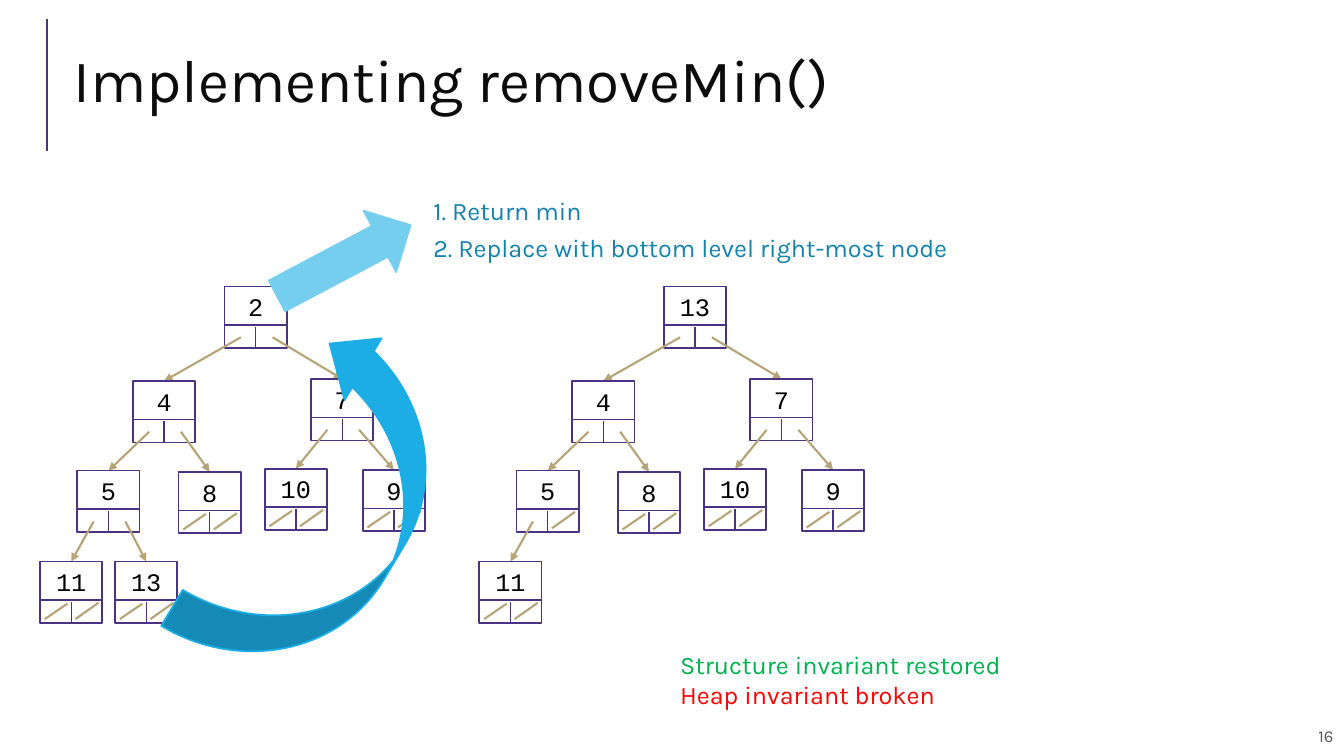
from lxml import etree
from pptx import Presentation
from pptx.dml.color import RGBColor
from pptx.enum.shapes import MSO_CONNECTOR, MSO_SHAPE
from pptx.enum.text import MSO_ANCHOR, MSO_AUTO_SIZE, PP_ALIGN
from pptx.oxml.ns import qn
from pptx.util import Cm, Pt

STRAIGHT = MSO_CONNECTOR.STRAIGHT
RECTANGLE = MSO_SHAPE.RECTANGLE
CURVED_ARROW = MSO_SHAPE.CURVED_RIGHT_ARROW
RIGHT_ARROW = MSO_SHAPE.RIGHT_ARROW
TOP, MIDDLE = MSO_ANCHOR.TOP, MSO_ANCHOR.MIDDLE
LEFT, CENTER, RIGHT = PP_ALIGN.LEFT, PP_ALIGN.CENTER, PP_ALIGN.RIGHT
NO_AUTOFIT = MSO_AUTO_SIZE.NONE

PURPLE = RGBColor(0x4C, 0x32, 0x82)
TAN = RGBColor(0xB6, 0xA4, 0x79)
BLUE = RGBColor(0x1C, 0xAD, 0xE4)
LIGHT_BLUE = RGBColor(0x76, 0xCE, 0xEF)
DARK_BLUE = RGBColor(0x14, 0x82, 0xAB)
GREEN = RGBColor(0x00, 0xB0, 0x50)
RED = RGBColor(0xFF, 0x00, 0x00)
BLACK = RGBColor(0x00, 0x00, 0x00)
NEAR_BLACK = RGBColor(0x0C, 0x0C, 0x0C)
GRAY = RGBColor(0x59, 0x59, 0x59)

BODY_FONT, NODE_FONT = "Karla", "Courier New"

# Heaps in level order: the children of index i are at 2i + 1 and 2i + 2
HEAP_BEFORE = [2, 4, 7, 5, 8, 10, 9, 11, 13]
HEAP_AFTER = [13, 4, 7, 5, 8, 10, 9, 11]
NODE_SPOTS = [(5.66, 7.22), (3.35, 9.6), (7.84, 9.55), (1.95, 11.86), (4.5, 11.89),
              (6.67, 11.81), (9.14, 11.84), (1.01, 14.15), (2.9, 14.15)]
TREE_SHIFT = 11.07

# Parts of a node, in centimetres from its top left corner
NODE_WIDTH, NODE_HEIGHT = 1.57, 1.55
DIVIDER_DROP = 0.97
LINK_STARTS = [(0.41, 1.28), (1.21, 1.28)]
SLASHES = [((0.69, 1.06), (0.12, 1.45)), ((1.47, 1.04), (0.89, 1.45))]


def add_line(page, start, end, color, width, arrow=False):
    line = page.shapes.add_connector(STRAIGHT, *map(Cm, start + end))
    line.line.color.rgb = color
    line.line.width = Pt(width)
    properties = line._element.spPr
    if arrow:
        etree.SubElement(properties.find(qn("a:ln")), qn("a:tailEnd"), type="triangle")
    etree.SubElement(properties, qn("a:effectLst"))


def add_shape(page, kind, frame, line_color, fill=None, rotation=0, adjustments=()):
    shape = page.shapes.add_shape(kind, *map(Cm, frame))
    shape.shadow.inherit = False
    shape.rotation = rotation
    shape.line.color.rgb = line_color
    shape.line.width = Pt(1.25)
    if fill is None:
        shape.fill.background()
    else:
        shape.fill.solid()
        shape.fill.fore_color.rgb = fill
    for index, value in enumerate(adjustments):
        shape.adjustments[index] = value


def fill_text(box, lines, size, font=BODY_FONT, align=LEFT, anchor=TOP,
              margin=0.13, wrap=True):
    frame = box.text_frame
    settings = {"word_wrap": wrap, "auto_size": NO_AUTOFIT, "vertical_anchor": anchor,
                "margin_left": Cm(0.25), "margin_right": Cm(0.25),
                "margin_top": Cm(margin), "margin_bottom": Cm(margin)}
    for name, value in settings.items():
        setattr(frame, name, value)
    for index, (text, color) in enumerate(lines):
        para = frame.add_paragraph() if index else frame.paragraphs[0]
        para.alignment = align
        span = para.add_run()
        span.text = text
        for name, value in {"name": font, "size": Pt(size)}.items():
            setattr(span.font, name, value)
        span.font.color.rgb = color


def add_text(page, frame, lines, size, **formats):
    box = page.shapes.add_textbox(*map(Cm, frame))
    fill_text(box, lines, size, **formats)


def add_title(page, text):
    title = page.shapes.title
    frame = {"left": 1.6, "top": 0.74, "width": 31.06, "height": 2.82}
    for name, value in frame.items():
        setattr(title, name, Cm(value))
    fill_text(title, [(text, NEAR_BLACK)], 43, anchor=MIDDLE)
    title.text_frame.paragraphs[0].line_spacing = 0.8


def add_node(page, left, top, value):
    middle = left + NODE_WIDTH / 2
    divider = top + DIVIDER_DROP
    bottom = top + NODE_HEIGHT
    add_shape(page, RECTANGLE, (left, top, NODE_WIDTH, NODE_HEIGHT), PURPLE)
    label_width = 0.51 + 0.38 * len(str(value))
    add_text(page, (middle - label_width / 2, top, label_width, 1.02),
             [(str(value), BLACK)], 18, font=NODE_FONT, align=CENTER, wrap=False)
    add_line(page, (left, divider), (left + NODE_WIDTH, divider), PURPLE, 1)
    add_line(page, (middle, bottom), (middle, divider + 0.05), PURPLE, 1)


def add_tree(page, heap, shift):
    spots = [(left + shift, top) for left, top in NODE_SPOTS]
    for index, value in enumerate(heap):
        left, top = spots[index]
        add_node(page, left, top, value)
        for side in (0, 1):
            child = 2 * index + 1 + side
            if child < len(heap):
                start = LINK_STARTS[side]
                child_left, child_top = spots[child]
                add_line(page, (left + start[0], top + start[1]),
                         (child_left + NODE_WIDTH / 2, child_top), TAN, 1.5, arrow=True)
            elif child >= len(heap):
                start, end = [(left + x, top + y) for x, y in SLASHES[side]]
                add_line(page, start, end, TAN, 1.5)


def main():
    deck = Presentation()
    deck.slide_width, deck.slide_height = Cm(33.87), Cm(19.05)
    page = deck.slides.add_slide(deck.slide_layouts[5])

    # Title with its accent line, and the page number
    add_line(page, (1.19, 3.81), (1.19, 0.48), PURPLE, 1.5)
    add_title(page, "Implementing removeMin()")
    add_text(page, (21.97, 18.03, 11.89, 1.02), [("16", GRAY)], 12,
             align=RIGHT, anchor=MIDDLE, margin=0.25)

    # Heap before the removal, with the two moves
    add_tree(page, HEAP_BEFORE, 0)
    add_shape(page, CURVED_ARROW, (6.12, 8.31, 4.22, 9.19), BLUE, BLUE,
              210.8, (0.25, 0.43, 0.25))
    add_shape(page, RIGHT_ARROW, (6.76, 5.69, 3.81, 1.75), LIGHT_BLUE, LIGHT_BLUE, 332.1)

    # Heap after the removal
    add_tree(page, HEAP_AFTER, TREE_SHIFT)

    # Steps and resulting state
    add_text(page, (16.89, 16.23, 16.31, 1.02),
             [("Structure invariant restored", GREEN), ("Heap invariant broken", RED)], 18)
    add_text(page, (10.67, 4.8, 16.89, 1.02), [("1. Return min", DARK_BLUE)], 18)
    add_text(page, (10.67, 5.61, 22.58, 1.27),
             [("2. Replace with bottom level right-most node", DARK_BLUE)], 18, margin=0.25)

    deck.save("out.pptx")


if __name__ == "__main__":
    main()
